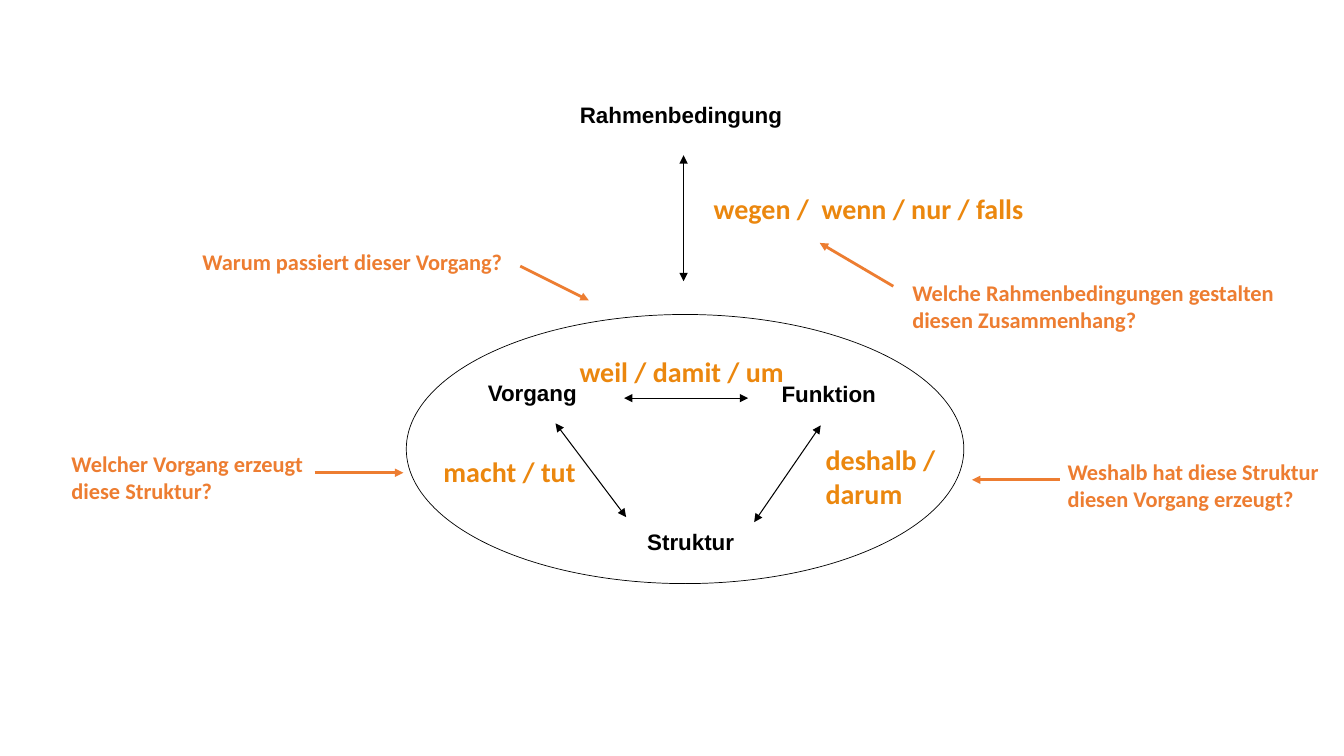
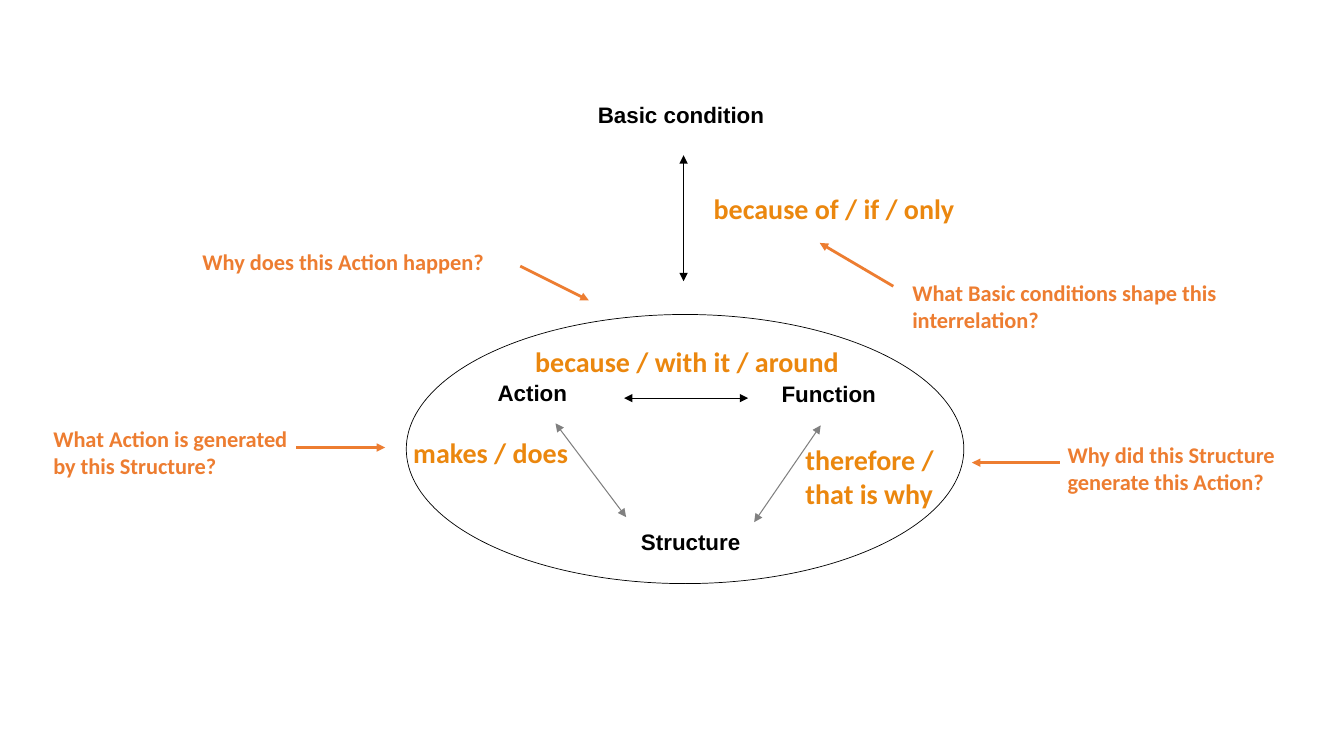
from dataclasses import dataclass

from lxml import etree
from pptx import Presentation
from pptx.dml.color import RGBColor
from pptx.enum.shapes import MSO_CONNECTOR, MSO_SHAPE
from pptx.enum.text import PP_ALIGN
from pptx.oxml.ns import qn
from pptx.slide import Slide
from pptx.util import Inches, Pt

STRAIGHT = MSO_CONNECTOR.STRAIGHT
OVAL = MSO_SHAPE.OVAL
LEFT, CENTER = PP_ALIGN.LEFT, PP_ALIGN.CENTER

Point = tuple[float, float]


@dataclass(frozen=True)
class Theme:
    black: str = "000000"
    gray: str = "808080"
    keyword: str = "EB870E"
    question: str = "ED7D31"
    concept_font: str = "Arial"
    body_font: str = "Calibri"
    normal_size: float = 16
    keyword_size: float = 20
    ellipse_width: float = 0.5
    relation_width: float = 0.75
    pointer_width: float = 2


@dataclass(frozen=True)
class Box:
    left: float
    top: float
    width: float
    height: float = 0.37

    def moved(self, shift: Point) -> "Box":
        return Box(self.left + shift[0], self.top + shift[1], self.width, self.height)


@dataclass(frozen=True)
class Arrow:
    start: Point
    end: Point

    def moved(self, shift: Point) -> "Arrow":
        return Arrow(
            (self.start[0] + shift[0], self.start[1] + shift[1]),
            (self.end[0] + shift[0], self.end[1] + shift[1]),
        )


@dataclass(frozen=True)
class Keyword:
    text: str
    box: Box


@dataclass(frozen=True)
class Question:
    text: str
    shift: Point = (0, 0)


@dataclass(frozen=True)
class Diagram:
    concepts: tuple[str, ...]
    keywords: tuple[Keyword, ...]
    questions: tuple[Question, ...]
    side_color: str


THEME = Theme()
ELLIPSE = Box(4.03, 3.12, 5.53, 2.67)

CONCEPT_BOXES = (
    Box(5.42, 0.95, 2.67),
    Box(4.58, 3.71, 1.4),
    Box(7.51, 3.72, 1.42),
    Box(5.84, 5.19, 2.02),
)
MAIN_ARROWS = (
    Arrow((6.78, 1.54), (6.78, 2.79)),
    Arrow((6.19, 3.95), (7.42, 3.95)),
)
SIDE_ARROWS = (
    Arrow((6.21, 5.13), (5.51, 4.2)),
    Arrow((7.48, 5.18), (8.14, 4.22)),
)
QUESTION_SLOTS = (
    (Box(0.61, 4.42, 2.61, 0.64), Arrow((3.12, 4.69), (4, 4.69))),
    (Box(1.91, 2.41, 3.3), Arrow((5.16, 2.64), (5.84, 2.98))),
    (Box(10.49, 4.5, 2.8, 0.64), Arrow((10.51, 4.76), (9.64, 4.76))),
    (Box(8.95, 2.72, 3.83, 0.64), Arrow((8.86, 2.84), (8.13, 2.41))),
)

DIAGRAMS = (
    Diagram(
        concepts=("Rahmenbedingung", "Vorgang", "Funktion", "Struktur"),
        keywords=(
            Keyword("macht / tut", Box(4.3, 4.46, 1.56, 0.44)),
            Keyword("weil / damit / um", Box(5.65, 3.47, 2.33, 0.44)),
            Keyword("deshalb / darum", Box(8.09, 4.34, 1.38, 0.77)),
            Keyword("wegen /  wenn / nur / falls", Box(6.98, 1.85, 3.83, 0.44)),
        ),
        questions=(
            Question("Welcher Vorgang erzeugt diese Struktur?"),
            Question("Warum passiert dieser Vorgang?"),
            Question("Weshalb hat diese Struktur diesen Vorgang erzeugt?"),
            Question("Welche Rahmenbedingungen gestalten diesen Zusammenhang?"),
        ),
        side_color=THEME.black,
    ),
    Diagram(
        concepts=("Basic condition", "Action", "Function", "Structure"),
        keywords=(
            Keyword("makes / does", Box(4, 4.27, 1.79, 0.44)),
            Keyword("because / with it / around", Box(5.21, 3.37, 3.43, 0.44)),
            Keyword("therefore / that is why", Box(7.89, 4.34, 1.58, 0.77)),
            Keyword("because of / if / only", Box(6.98, 1.85, 2.67, 0.44)),
        ),
        questions=(
            Question("What Action is generated by this Structure?", (-0.18, -0.25)),
            Question("Why does this Action happen?"),
            Question("Why did this Structure generate this Action?", (0, -0.17)),
            Question("What Basic conditions shape this interrelation?"),
        ),
        side_color=THEME.gray,
    ),
)


def add_text(
    slide: Slide,
    text: str,
    box: Box,
    *,
    color: str,
    font: str = THEME.body_font,
    size: float = THEME.normal_size,
    align: PP_ALIGN = LEFT,
) -> None:
    shape = slide.shapes.add_textbox(
        Inches(box.left), Inches(box.top), Inches(box.width), Inches(box.height)
    )
    shape.text_frame.word_wrap = True
    paragraph = shape.text_frame.paragraphs[0]
    paragraph.alignment = align
    run = paragraph.add_run()
    run.text = text
    run.font.name = font
    run.font.size = Pt(size)
    run.font.bold = True
    run.font.color.rgb = RGBColor.from_string(color)


def add_arrow(
    slide: Slide, arrow: Arrow, *, color: str, width: float, double: bool = False
) -> None:
    connector = slide.shapes.add_connector(
        STRAIGHT, *(Inches(value) for value in arrow.start + arrow.end)
    )
    connector.line.color.rgb = RGBColor.from_string(color)
    connector.line.width = Pt(width)
    properties = connector.element.spPr
    line = properties.find(qn("a:ln"))
    for tag in ("a:headEnd", "a:tailEnd") if double else ("a:tailEnd",):
        etree.SubElement(line, qn(tag), type="triangle")
    etree.SubElement(properties, qn("a:effectLst"))


def add_ellipse(slide: Slide, box: Box) -> None:
    shape = slide.shapes.add_shape(
        OVAL, Inches(box.left), Inches(box.top), Inches(box.width), Inches(box.height)
    )
    shape.shadow.inherit = False
    shape.fill.background()
    shape.line.color.rgb = RGBColor.from_string(THEME.black)
    shape.line.width = Pt(THEME.ellipse_width)


def draw_diagram(slide: Slide, diagram: Diagram) -> None:
    add_ellipse(slide, ELLIPSE)
    for text, box in zip(diagram.concepts, CONCEPT_BOXES):
        add_text(
            slide, text, box, color=THEME.black, font=THEME.concept_font, align=CENTER
        )
    for arrows, color in (
        (MAIN_ARROWS, THEME.black),
        (SIDE_ARROWS, diagram.side_color),
    ):
        for arrow in arrows:
            add_arrow(
                slide, arrow, color=color, width=THEME.relation_width, double=True
            )
    for keyword in diagram.keywords:
        add_text(
            slide,
            keyword.text,
            keyword.box,
            color=THEME.keyword,
            size=THEME.keyword_size,
        )
    for question, (box, arrow) in zip(diagram.questions, QUESTION_SLOTS):
        add_text(
            slide, question.text, box.moved(question.shift), color=THEME.question
        )
        add_arrow(
            slide,
            arrow.moved(question.shift),
            color=THEME.question,
            width=THEME.pointer_width,
        )


def main() -> None:
    presentation = Presentation()
    presentation.slide_width = Inches(13.33)
    presentation.slide_height = Inches(7.5)
    blank_layout = presentation.slide_layouts[6]
    for diagram in DIAGRAMS:
        draw_diagram(presentation.slides.add_slide(blank_layout), diagram)
    presentation.save("out.pptx")


if __name__ == "__main__":
    main()
